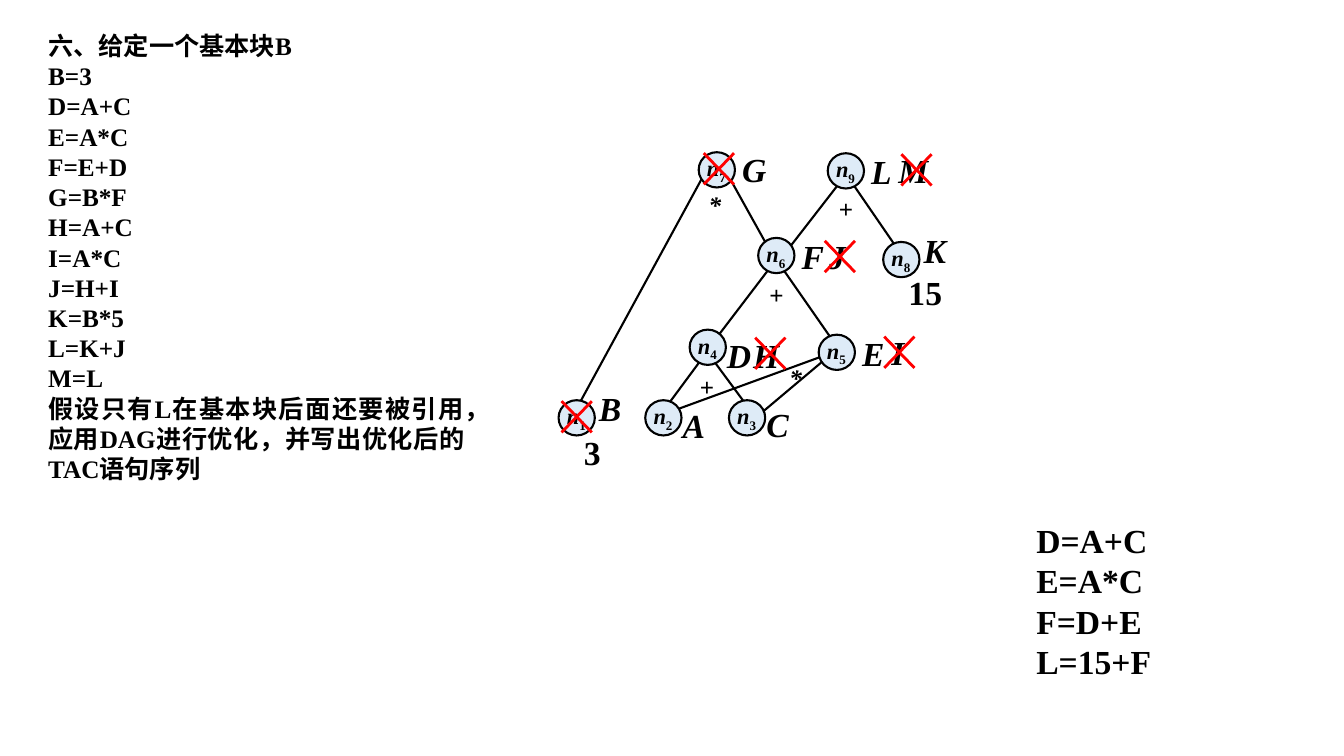
from lxml import etree
from pptx import Presentation
from pptx.dml.color import RGBColor
from pptx.enum import shapes, text
from pptx.oxml import ns
from pptx.util import Inches, Pt

COLORS = {"ink": "000000", "node": "DEEBF7", "cross": "FF0000"}
FONT = "Times New Roman"
NODE_W, NODE_H = 0.36, 0.35
CROSS_W, CROSS_H = 0.3, 0.31
TIGHT = (0.07, 0.04, 0.07, 0.04)
PLAIN = (0.1, 0.05, 0.1, 0.05)

QUESTION = [
    "六、给定一个基本块B",
    "B=3", "D=A+C", "E=A*C", "F=E+D", "G=B*F", "H=A+C",
    "I=A*C", "J=H+I", "K=B*5", "L=K+J", "M=L",
    "假设只有L在基本块后面还要被引用，应用DAG进行优化，并写出优化后的TAC语句序列",
]
ANSWER = ["D=A+C", "E=A*C", "F=D+E", "L=15+F"]

# Graph parts, as offsets from the top left of the graph
EDGES = [
    (2.9, 0.34, 3.45, 1.14), (2.9, 0.32, 2.28, 1.12),    # n9 to n8, n6
    (1.5, 0.3, 0.21, 2.67), (1.7, 0.3, 2.15, 1.11),      # n7 to n1, n6
    (2.21, 1.19, 2.76, 1.98), (2.21, 1.16, 1.6, 1.96),   # n6 to n5, n4
    (2.76, 2.1, 2, 2.74), (2.75, 2.1, 1, 2.74),          # n5 to n3, n2
    (1.52, 2.1, 2.03, 2.79), (1.52, 2.08, 1.01, 2.77),   # n4 to n3, n2
]
NODES = [  # n1 to n9
    (0.04, 2.57), (0.9, 2.57), (1.73, 2.57),
    (1.34, 1.87), (2.62, 1.92), (2.02, 0.96),
    (1.43, 0.11), (3.26, 1), (2.71, 0.12),
]
VARIABLES = [
    ("A", 1.2, 2.58), ("B", 0.37, 2.41), ("C", 2.03, 2.57), ("D", 1.64, 1.88),
    ("E", 2.98, 1.86), ("F", 2.38, 0.9), ("G", 1.79, 0.04), ("H", 1.9, 1.88),
    ("I", 3.27, 1.85), ("J", 2.65, 0.9), ("K", 3.59, 0.84), ("L", 3.07, 0.06),
    ("M", 3.34, 0.05),
]
CONSTANTS = [("3", 0.22, 2.84, 0.32), ("15", 3.44, 1.26, 0.49)]
OPERATORS = [
    ("+", 2.72, 0.47), ("+", 1.34, 2.23), ("*", 2.23, 2.15),
    ("+", 2.03, 1.32), ("*", 1.43, 0.43),
]
CROSSES = [  # over M, n7, n1, J, H, I
    (3.44, 0.13), (1.48, 0.12), (0.07, 2.58),
    (2.68, 0.99), (1.99, 1.95), (3.27, 1.94),
]


def color(name):
    return RGBColor.from_string(COLORS[name])


def set_font(font, size, italic=False):
    font.name = FONT
    font.size = Pt(size)
    font.bold = True
    font.italic = italic
    font.color.rgb = color("ink")


def set_insets(frame, insets):
    (frame.margin_left, frame.margin_top,
     frame.margin_right, frame.margin_bottom) = map(Inches, insets)


def add_text(slide, box, lines, size, italic=False, insets=PLAIN, wrap=True,
             align=text.PP_ALIGN.LEFT):
    frame = slide.shapes.add_textbox(*map(Inches, box)).text_frame
    frame.word_wrap = wrap
    frame.auto_size = text.MSO_AUTO_SIZE.SHAPE_TO_FIT_TEXT
    set_insets(frame, insets)
    frame.text = "\n".join(lines)
    for paragraph in frame.paragraphs:
        paragraph.alignment = align
        set_font(paragraph.font, size, italic)


def add_line(slide, ends, line_color, width):
    line = slide.shapes.add_connector(
        shapes.MSO_CONNECTOR.STRAIGHT, *map(Inches, ends))
    line.line.color.rgb = color(line_color)
    line.line.width = Pt(width)
    etree.SubElement(line._element.spPr, ns.qn("a:effectLst"))


def add_node(slide, x, y, number):
    node = slide.shapes.add_shape(
        shapes.MSO_SHAPE.OVAL, *map(Inches, (x, y, NODE_W, NODE_H)))
    node.shadow.inherit = False
    node.fill.solid()
    node.fill.fore_color.rgb = color("node")
    node.line.color.rgb = color("ink")
    node.line.width = Pt(1.5)
    frame = node.text_frame
    frame.word_wrap = False
    frame.vertical_anchor = text.MSO_ANCHOR.MIDDLE
    set_insets(frame, (0.03, 0.04, 0.07, 0.04))
    label = frame.paragraphs[0]
    label.alignment = text.PP_ALIGN.LEFT
    set_font(label.font, 16, italic=True)
    label.add_run().text = "n"
    subscript = label.add_run()
    subscript.text = str(number)
    subscript.font.italic = False
    subscript.font._element.set("baseline", "-25000")


def add_cross(slide, x, y):
    right, bottom = x + CROSS_W, y + CROSS_H
    add_line(slide, (x, y, right, bottom), "cross", 2)
    add_line(slide, (right, y, x, bottom), "cross", 2)


def add_graph(slide, left, top):
    for x1, y1, x2, y2 in EDGES:
        add_line(slide, (left + x1, top + y1, left + x2, top + y2), "ink", 1.5)
    for number, (x, y) in enumerate(NODES, start=1):
        add_node(slide, left + x, top + y, number)
    for operator, x, y in OPERATORS:
        add_text(slide, (left + x, top + y, 0.25, 0.4), [operator], 18, italic=True)
    for variable, x, y in VARIABLES:
        add_text(slide, (left + x, top + y, 0.52, 0.48), [variable], 24,
                 italic=True, insets=TIGHT)
    for constant, x, y, width in CONSTANTS:
        add_text(slide, (left + x, top + y, width, 0.48), [constant], 24,
                 insets=TIGHT, wrap=False)
    for x, y in CROSSES:
        add_cross(slide, left + x, top + y)


def add_statements(slide, box, lines, size):
    add_text(slide, box, lines, size, align=text.PP_ALIGN.JUSTIFY)


def main():
    deck = Presentation()
    deck.slide_width, deck.slide_height = Inches(13.33), Inches(7.5)
    slide = deck.slides.add_slide(deck.slide_layouts[6])
    # Basic block, its graph, and the optimised code
    add_statements(slide, (0.38, 0.25, 4.33, 4.64), QUESTION, 18)
    add_graph(slide, 5.5, 1.4)
    add_statements(slide, (10.18, 5.11, 1.7, 1.72), ANSWER, 24)
    deck.save("out.pptx")


if __name__ == "__main__":
    main()
